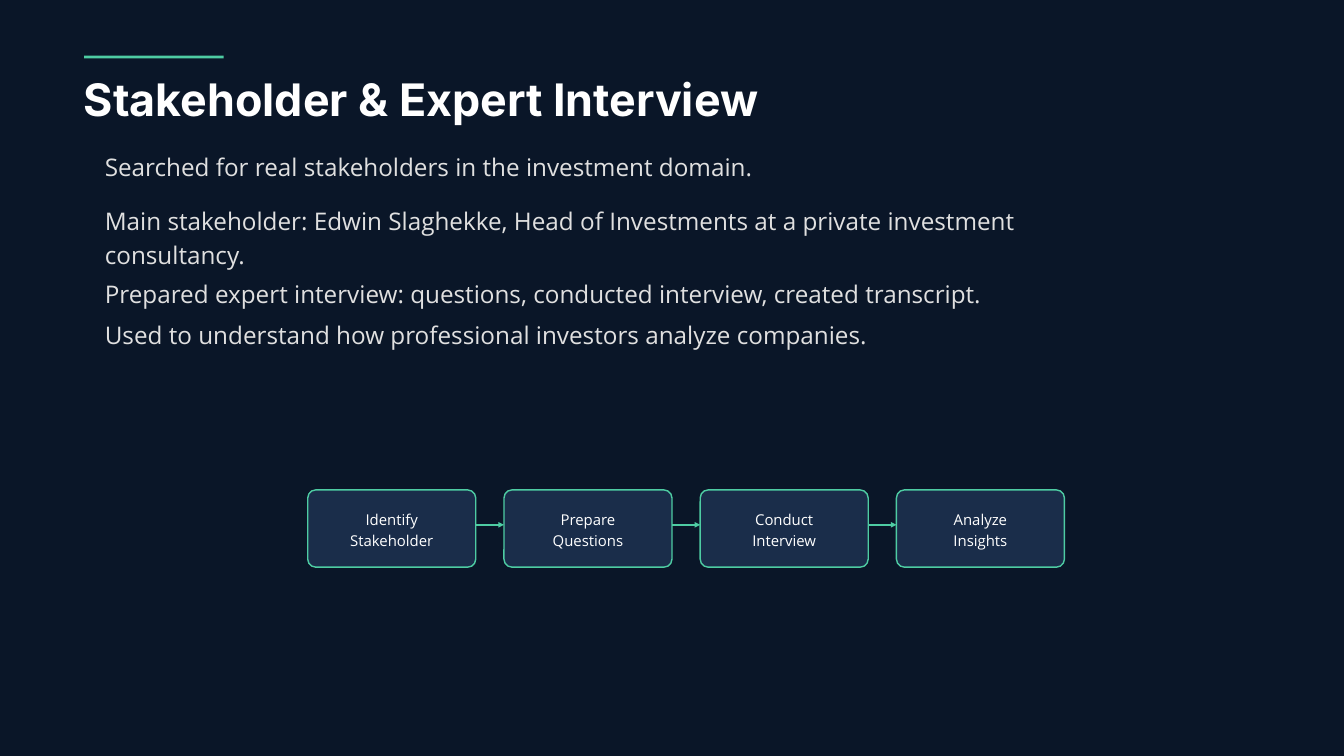
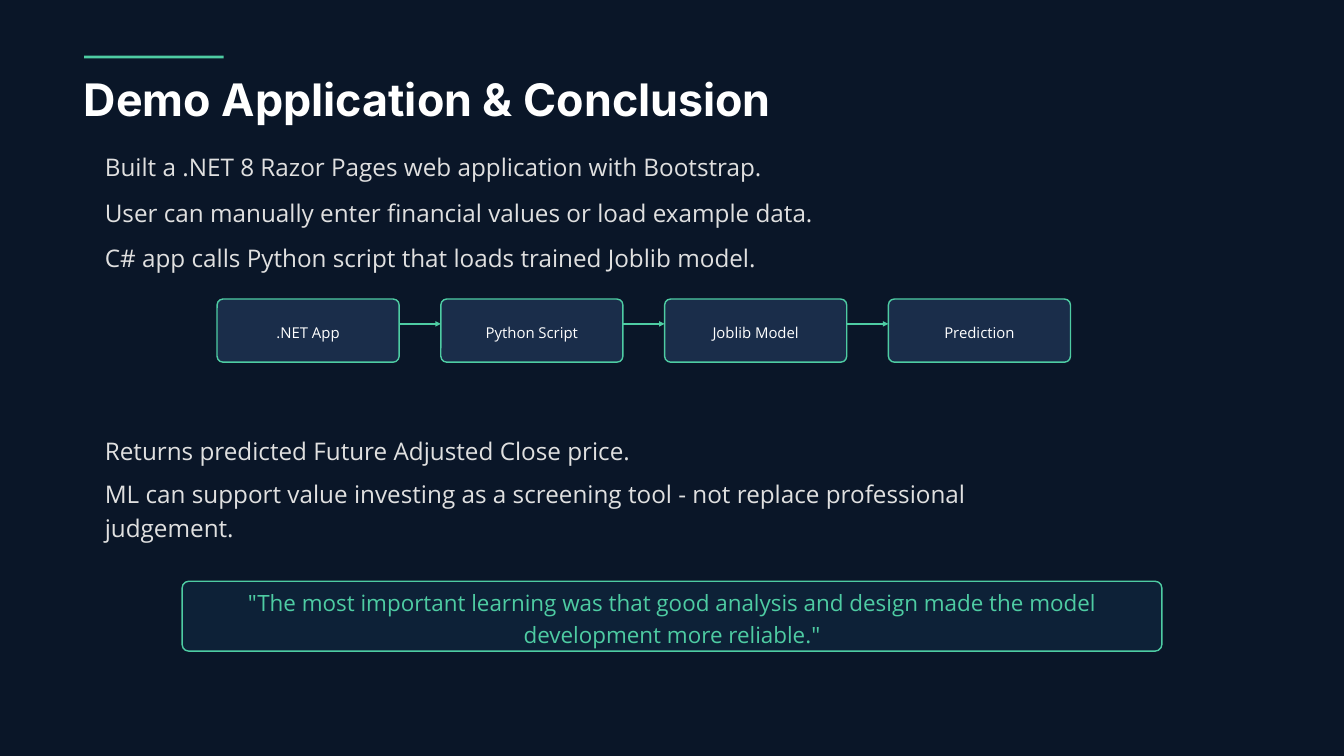
from dataclasses import dataclass

from pptx import Presentation
from pptx.dml.color import RGBColor
from pptx.enum.shapes import MSO_CONNECTOR, MSO_SHAPE
from pptx.enum.text import MSO_ANCHOR, MSO_AUTO_SIZE, PP_ALIGN
from pptx.oxml.ns import qn
from pptx.util import Inches, Pt
from lxml.etree import SubElement


@dataclass(frozen=True)
class Style:
    font: str
    size: int
    lead: float
    color: str
    bold: bool = False


@dataclass(frozen=True)
class Theme:
    back: str = "0A1628"
    mint: str = "4ECCA3"
    card: str = "1A2D4A"
    panel: str = "0D2137"
    edge: float = 1.5
    title: Style = Style("Inter", 48, 67.2, "FFFFFF", True)
    body: Style = Style("Open Sans", 26, 36.4, "E0E0E0")
    step: Style = Style("Open Sans", 16, 22.4, "FFFFFF")
    quote: Style = Style("Open Sans", 24, 33.6, "4ECCA3")


THEME = Theme()

SLIDES = [
    {
        "title": "Stakeholder & Expert Interview",
        "body": [
            (2.2, 1, "Searched for real stakeholders in the investment domain."),
            (3, 2, "Main stakeholder: Edwin Slaghekke, Head of Investments at "
                   "a private investment consultancy."),
            (4.08, 1, "Prepared expert interview: questions, conducted interview, "
                      "created transcript."),
            (4.7, 1, "Used to understand how professional investors analyze companies."),
        ],
        "flow": {
            "steps": ["Identify\nStakeholder", "Prepare\nQuestions",
                      "Conduct\nInterview", "Analyze\nInsights"],
            "left": 4.58, "top": 7.29, "wide": 2.5, "high": 1.15,
            "gap": 0.42, "curve": 0.12, "reach": 0.83, "line": 7.81,
        },
    },
    {
        "title": "Demo Application & Conclusion",
        "body": [
            (2.2, 1, "Built a .NET 8 Razor Pages web application with Bootstrap."),
            (2.88, 1, "User can manually enter financial values or load example data."),
            (3.55, 1, "C# app calls Python script that loads trained Joblib model."),
            (6.42, 1, "Returns predicted Future Adjusted Close price."),
            (7.06, 2, "ML can support value investing as a screening tool - "
                      "not replace professional judgement."),
        ],
        "flow": {
            "steps": [".NET App", "Python Script", "Joblib Model", "Prediction"],
            "left": 3.23, "top": 4.45, "wide": 2.71, "high": 0.94,
            "gap": 0.62, "curve": 0.09, "reach": 1.04, "line": 4.82,
        },
        "quote": '"The most important learning was that good analysis and design '
                 'made the model development more reliable."',
    },
]


def paint(fill, color):
    fill.solid()
    fill.fore_color.rgb = RGBColor.from_string(color)


def write(frame, text, style, align=PP_ALIGN.LEFT, side=0, edge=0):
    frame.text = text
    frame.word_wrap = True
    frame.margin_left = frame.margin_right = Inches(side)
    frame.margin_top = frame.margin_bottom = Inches(edge)
    for para in frame.paragraphs:
        para.alignment = align
        para.line_spacing = Pt(style.lead)
        para.font.name = style.font
        para.font.size = Pt(style.size)
        para.font.bold = style.bold
        para.font.color.rgb = RGBColor.from_string(style.color)


def label(slide, box, text, style):
    frame = slide.shapes.add_textbox(*map(Inches, box)).text_frame
    write(frame, text, style)
    frame.auto_size = MSO_AUTO_SIZE.SHAPE_TO_FIT_TEXT


def panel(slide, box, curve, color, text, style, side, edge):
    shape = slide.shapes.add_shape(MSO_SHAPE.ROUNDED_RECTANGLE, *map(Inches, box))
    shape.adjustments[0] = curve / box[3]
    shape.shadow.inherit = False
    paint(shape.fill, color)
    paint(shape.line.fill, THEME.mint)
    shape.line.width = Pt(THEME.edge)
    write(shape.text_frame, text, style, PP_ALIGN.CENTER, side, edge)
    shape.text_frame.vertical_anchor = MSO_ANCHOR.MIDDLE


def arrow(slide, start, end, top):
    link = slide.shapes.add_connector(
        MSO_CONNECTOR.STRAIGHT, *map(Inches, (start, top, end, top)))
    paint(link.line.fill, THEME.mint)
    link.line.width = Pt(THEME.edge)
    SubElement(link.line._get_or_add_ln(), qn("a:tailEnd"), type="triangle")
    SubElement(link._element.spPr, qn("a:effectLst"))


def chain(slide, flow):
    pitch = flow["wide"] + flow["gap"]
    lefts = [flow["left"] + i * pitch for i in range(len(flow["steps"]))]
    for left in lefts[1:]:
        arrow(slide, left - flow["reach"], left, flow["line"])
    for left, text in zip(lefts, flow["steps"]):
        box = (left, flow["top"], flow["wide"], flow["high"])
        panel(slide, box, flow["curve"], THEME.card, text, THEME.step, 0.06, 0.06)


def head(slide, text):
    bar = slide.shapes.add_shape(
        MSO_SHAPE.RECTANGLE, *map(Inches, (1.25, 0.83, 2.08, 0.04)))
    bar.shadow.inherit = False
    paint(bar.fill, THEME.mint)
    bar.line.fill.background()
    label(slide, (1.25, 0.94, 17.5, 0.9), text, THEME.title)


def main():
    deck = Presentation()
    deck.slide_width, deck.slide_height = Inches(20), Inches(11.25)
    paint(deck.slide_master.background.fill, THEME.back)
    for page in SLIDES:
        slide = deck.slides.add_slide(deck.slide_layouts[6])
        head(slide, page["title"])
        for top, rows, text in page["body"]:
            high = rows * THEME.body.lead / 72
            label(slide, (1.56, top, 14.58, high), text, THEME.body)
        chain(slide, page["flow"])
        if "quote" in page:
            panel(slide, (2.71, 8.65, 14.58, 1.04), 0.1, THEME.panel,
                  page["quote"], THEME.quote, 0.52, 0)
    deck.save("out.pptx")


if __name__ == "__main__":
    main()
